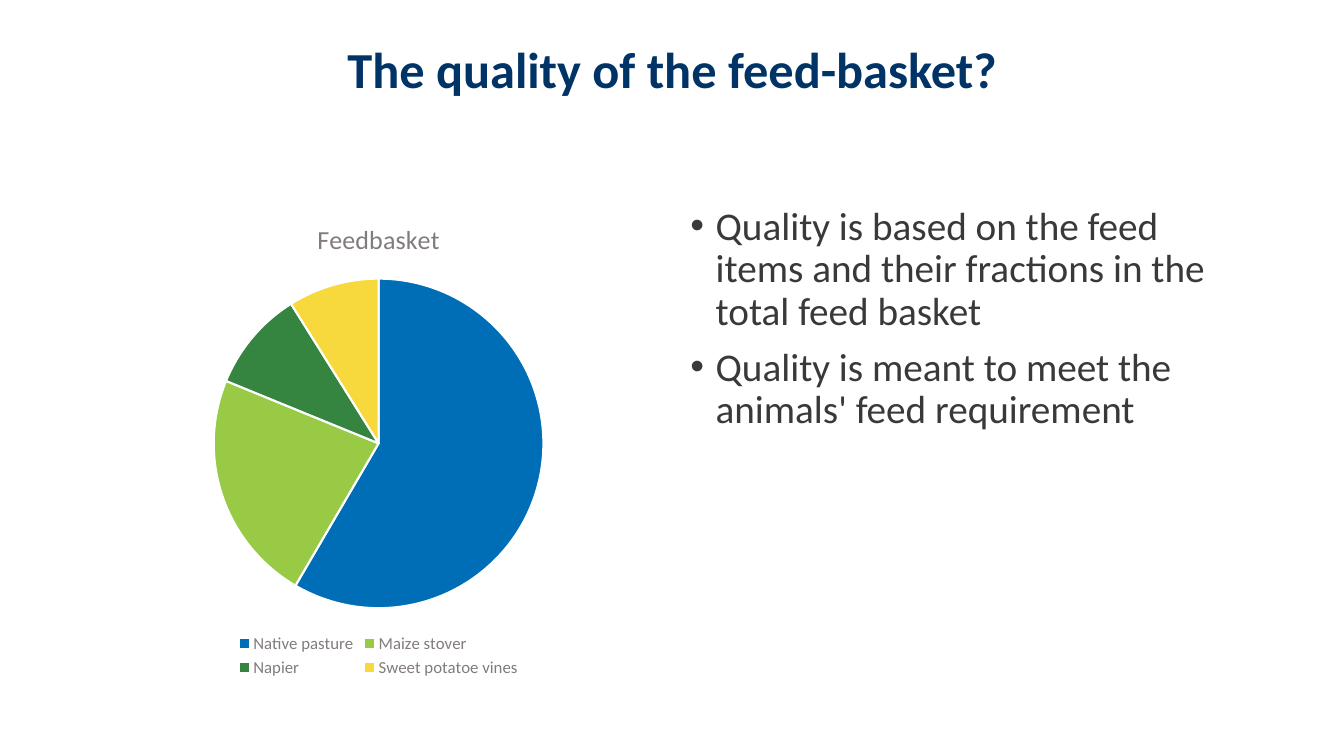
from lxml import etree
from pptx import Presentation
from pptx.chart.data import CategoryChartData
from pptx.dml.color import RGBColor
from pptx.enum.chart import XL_CHART_TYPE, XL_LEGEND_POSITION
from pptx.enum.text import MSO_ANCHOR, PP_ALIGN
from pptx.oxml.ns import qn
from pptx.util import Inches, Pt

PIE = XL_CHART_TYPE.PIE
LEGEND_BOTTOM = XL_LEGEND_POSITION.BOTTOM
TOP = MSO_ANCHOR.TOP
LEFT, CENTER = PP_ALIGN.LEFT, PP_ALIGN.CENTER

FONT = "Calibri"
NAVY, CHARCOAL, GREY, WHITE = "003366", "3B3838", "827B7B", "FFFFFF"
FEEDS = [
    ("Native pasture", 59, "006EB6"),
    ("Maize stover", 23, "98CA45"),
    ("Napier", 10, "358540"),
    ("Sweet potatoe vines", 9, "F7D93D"),
]
QUALITY_POINTS = [
    "Quality is based on the feed items and their fractions in the total feed basket",
    "Quality is meant to meet the animals' feed requirement",
]


def color(value):
    return RGBColor.from_string(value)


def style_font(font, size, fill, bold=False):
    font.name = FONT
    font.size = Pt(size)
    font.bold = bold
    font.color.rgb = color(fill)


def add_bullet(paragraph):
    properties = paragraph._p.get_or_add_pPr()
    properties.set("marL", str(Inches(0.25)))
    properties.set("indent", str(Inches(-0.25)))
    etree.SubElement(properties, qn("a:buFont")).set("typeface", "Arial")
    etree.SubElement(properties, qn("a:buChar")).set("char", "•")


def add_text(slide, lines, box, size, fill, bold=False, align=LEFT, bullets=False):
    frame = slide.shapes.add_textbox(*map(Inches, box)).text_frame
    frame.word_wrap = True
    frame.vertical_anchor = TOP
    for index, line in enumerate(lines):
        paragraph = frame.add_paragraph() if index else frame.paragraphs[0]
        if bullets:
            add_bullet(paragraph)
        paragraph.alignment = align
        paragraph.line_spacing = 0.9
        if index:
            paragraph.space_before = Pt(10)
        run = paragraph.add_run()
        run.text = line
        style_font(run.font, size, fill, bold)


def add_feed_pie(slide, title, feeds, box):
    feed_data = CategoryChartData()
    feed_data.categories = [name for name, _, _ in feeds]
    feed_data.add_series(title, [share for _, share, _ in feeds])
    chart = slide.shapes.add_chart(PIE, *map(Inches, box), feed_data).chart
    style_font(chart.font, 10, CHARCOAL)

    chart.has_title = True
    heading = chart.chart_title.text_frame.paragraphs[0].add_run()
    heading.text = title
    style_font(heading.font, 18.6, GREY)

    chart.has_legend = True
    chart.legend.position = LEGEND_BOTTOM
    chart.legend.include_in_layout = False
    style_font(chart.legend.font, 12, GREY)

    plot = chart.plots[0]
    plot.vary_by_categories = True
    for index, (_, _, fill) in enumerate(feeds):
        wedge = plot.series[0].points[index].format
        wedge.fill.solid()
        wedge.fill.fore_color.rgb = color(fill)
        wedge.line.color.rgb = color(WHITE)
        wedge.line.width = Pt(1.5)


def main():
    deck = Presentation()
    deck.slide_width, deck.slide_height = Inches(13.33), Inches(7.5)
    slide = deck.slides.add_slide(deck.slide_layouts[6])
    add_text(slide, ["The quality of the feed-basket?"], (0.92, 0.4, 11.5, 1.25),
             size=36, fill=NAVY, bold=True, align=CENTER)
    add_feed_pie(slide, "Feedbasket", FEEDS, (0.92, 2, 5.67, 4.76))
    add_text(slide, QUALITY_POINTS, (6.75, 2, 5.67, 4.76),
             size=28, fill=CHARCOAL, bullets=True)
    deck.save("out.pptx")


if __name__ == "__main__":
    main()
